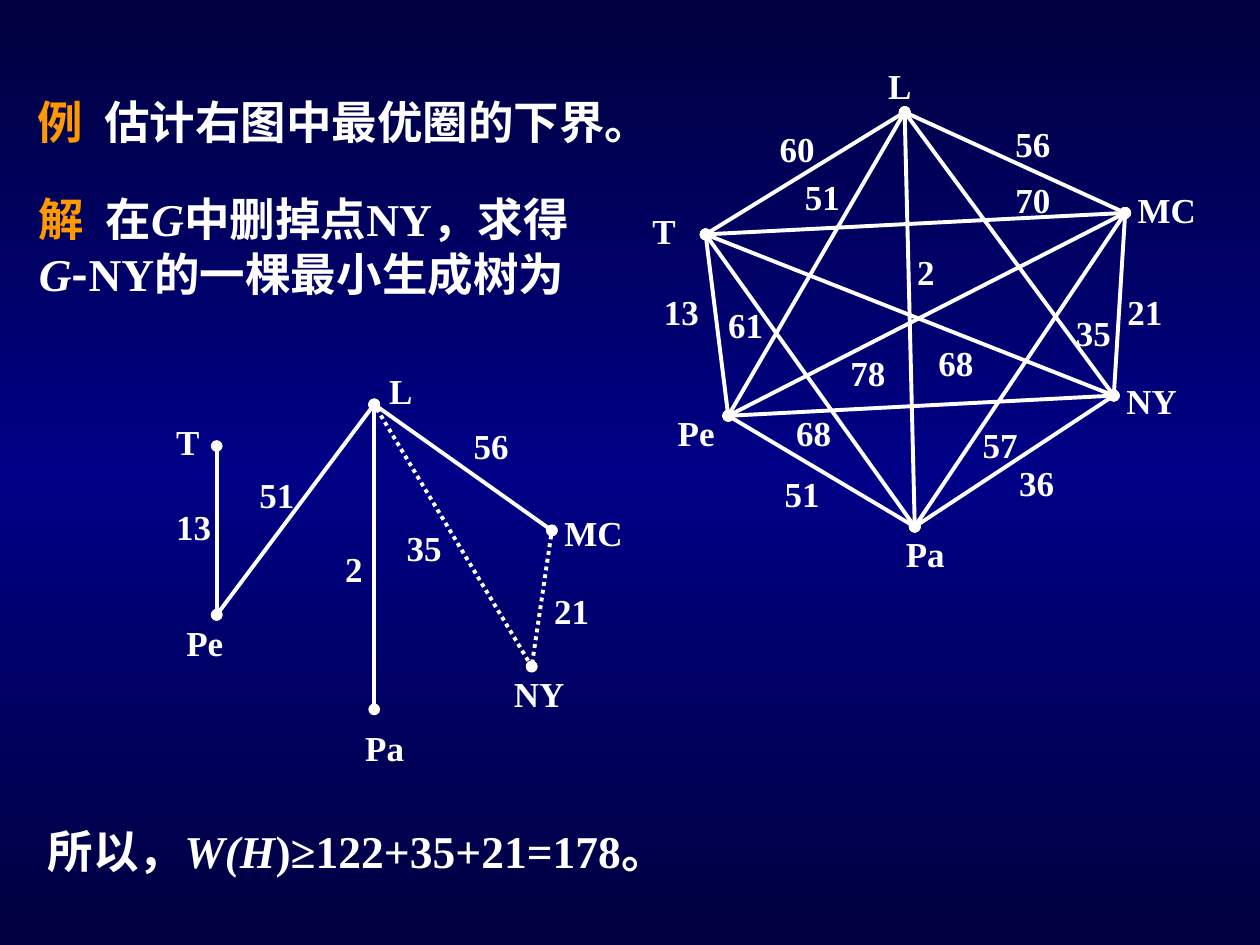
from copy import deepcopy
from itertools import combinations

from pptx import Presentation
from pptx.dml.color import RGBColor
from pptx.enum.dml import MSO_LINE
from pptx.enum.shapes import MSO_CONNECTOR
from pptx.enum.text import MSO_AUTO_SIZE
from pptx.oxml.ns import qn
from pptx.util import Inches, Pt

COLORS = {"white": "FFFFFF", "orange": "FF9900", "edge": "00003E", "middle": "000086"}
LATIN, CJK = "Times New Roman", "Noto Sans CJK SC"
LABEL_HEIGHT = 0.44

CITIES = {"L": (7.18, 0.89), "T": (5.6, 1.86), "MC": (8.93, 1.69),
          "Pe": (5.78, 3.3), "NY": (8.84, 3.14), "Pa": (7.26, 4.18)}
CITY_NAMES = [("T", 5.08, 1.61, 0.89), ("Pe", 5.28, 3.22, 0.89), ("Pa", 7.09, 4.18, 0.89),
              ("NY", 8.84, 2.96, 0.81), ("MC", 8.93, 1.45, 0.72), ("L", 6.95, 0.46, 0.54)]
CITY_WEIGHTS = [("13", 5.17, 2.26), ("2", 7.18, 1.94), ("21", 8.85, 2.26), ("70", 7.96, 1.37),
                ("56", 7.96, 0.92), ("51", 6.29, 1.34), ("60", 6.09, 0.96), ("78", 6.65, 2.74),
                ("35", 8.44, 2.42), ("36", 7.99, 3.61), ("51", 6.13, 3.7), ("68", 7.35, 2.66),
                ("57", 7.7, 3.31), ("68", 6.22, 3.22), ("61", 5.68, 2.36)]

TREE = {"T": (1.72, 3.54), "Pe": (1.72, 4.88), "L": (2.97, 3.21),
        "Pa": (2.97, 5.63), "MC": (4.38, 4.21), "NY": (4.22, 5.29)}
TREE_EDGES = [("T", "Pe"), ("Pe", "L"), ("L", "Pa"), ("L", "MC")]
ADDED_EDGES = [("MC", "NY"), ("L", "NY")]
TREE_LABELS = [("51", 1.96, 3.71), ("13", 1.3, 3.96), ("56", 3.66, 3.32), ("2", 2.64, 4.3),
               ("Pa", 2.8, 5.72), ("L", 2.99, 2.88), ("Pe", 1.38, 4.88), ("T", 1.3, 3.29)]
WIDE_LABELS = [("MC", 4.38, 4.01, 0.85), ("35", 3.13, 4.13, 0.6),
               ("21", 4.3, 4.63, 0.6), ("NY", 3.98, 5.29, 0.85)]


def set_background(s):
    """Fill the slide with a vertical dark-blue gradient."""
    fill = s.background.fill
    fill.gradient()
    fill.gradient_angle = 270
    stops = s._element.find(".//" + qn("a:gsLst"))
    stops.append(deepcopy(stops[-1]))
    for stop, position, name in zip(fill.gradient_stops, (0, 0.5, 1), ("edge", "middle", "edge")):
        stop.position = position
        stop.color.rgb = RGBColor.from_string(COLORS[name])


def add_run(p, text, size, color="white", **formats):
    """Add a bold run with Latin and East Asian fonts."""
    r = p.add_run()
    r.text = text
    for name, value in {"name": LATIN, "size": Pt(size), "bold": True, **formats}.items():
        setattr(r.font, name, value)
    r.font.color.rgb = RGBColor.from_string(COLORS[color])
    ea = r._r.get_or_add_rPr().makeelement(qn("a:ea"), {"typeface": CJK})
    r._r.rPr.find(qn("a:latin")).addnext(ea)


def add_text(shapes, runs, left, top, width, height, size):
    """Add a wrapping text box of (text, formats) runs and return its paragraph."""
    sp = shapes.add_textbox(Inches(left), Inches(top), Inches(width), Inches(height))
    tf = sp.text_frame
    tf.word_wrap = True
    tf.auto_size = MSO_AUTO_SIZE.SHAPE_TO_FIT_TEXT
    p = tf.paragraphs[0]
    for text, formats in runs:
        add_run(p, text, size, **formats)
    return p


def add_tab(p, position):
    """Put one left tab stop on a paragraph."""
    pPr = p._p.get_or_add_pPr()
    tabs = pPr.makeelement(qn("a:tabLst"), {})
    tabs.append(tabs.makeelement(qn("a:tab"), {"pos": str(Inches(position)), "algn": "l"}))
    pPr.append(tabs)


def add_label(shapes, text, left, top, width):
    """Add a vertex name or an edge weight."""
    add_text(shapes, [(text, {})], left, top, width, LABEL_HEIGHT, 20)


def add_edge(shapes, start, end, dash=None):
    """Join two vertices with a line that has round ends."""
    sp = shapes.add_connector(MSO_CONNECTOR.STRAIGHT, *map(Inches, (*start, *end)))
    sp.line.color.rgb = RGBColor.from_string(COLORS["white"])
    sp.line.width = Pt(2.25)
    if dash:
        sp.line.dash_style = dash
    spPr = sp._element.spPr
    ln = spPr.find(qn("a:ln"))
    for tag in ("a:headEnd", "a:tailEnd"):
        ln.append(ln.makeelement(qn(tag), {"type": "oval"}))
    spPr.append(spPr.makeelement(qn("a:effectLst"), {}))


def add_complete_graph(s):
    """Draw the weighted complete graph of six cities."""
    shapes = s.shapes.add_group_shape().shapes
    for start, end in combinations(CITIES.values(), 2):
        add_edge(shapes, start, end)
    for weight in CITY_WEIGHTS:
        add_label(shapes, *weight, 0.54)
    for name in CITY_NAMES:
        add_label(shapes, *name)


def add_tree(s):
    """Draw the spanning tree and the two edges that bring NY back."""
    shapes = s.shapes.add_group_shape().shapes
    for edges, dash in ((TREE_EDGES, None), (ADDED_EDGES, MSO_LINE.ROUND_DOT)):
        for start, end in edges:
            add_edge(shapes, TREE[start], TREE[end], dash)
    for label in TREE_LABELS:
        add_label(shapes, *label, 0.52)
    for label in WIDE_LABELS:
        add_label(shapes, *label)


def main():
    """Build the slide and save it."""
    prs = Presentation()
    prs.slide_width, prs.slide_height = Inches(10), Inches(7.5)
    s = prs.slides.add_slide(prs.slide_layouts[6])
    set_background(s)
    lead, italic = {"color": "orange"}, {"italic": True}
    example = [("例", lead), ("\t估计右图中最优圈的下界。", {})]
    solution = [("解", lead), ("\t在", {}), ("G", italic), ("中删掉点NY，求得", {}),
                ("G", italic), ("-", {"name": CJK}), ("NY的一棵最小生成树为", {})]
    result = [("所以，", {}), ("W(H", italic), (")≥122+35+21=178", {}), ("。", {"name": CJK})]
    add_tab(add_text(s.shapes, example, 0.2, 0.7, 5.67, 0.54, 26), 0.53)
    add_complete_graph(s)
    add_tab(add_text(s.shapes, solution, 0.21, 1.47, 4.65, 1.4, 26), 0.53)
    add_tree(s)
    add_text(s.shapes, result, 0.28, 6.48, 7.55, 0.54, 26)
    prs.save("out.pptx")


if __name__ == "__main__":
    main()
